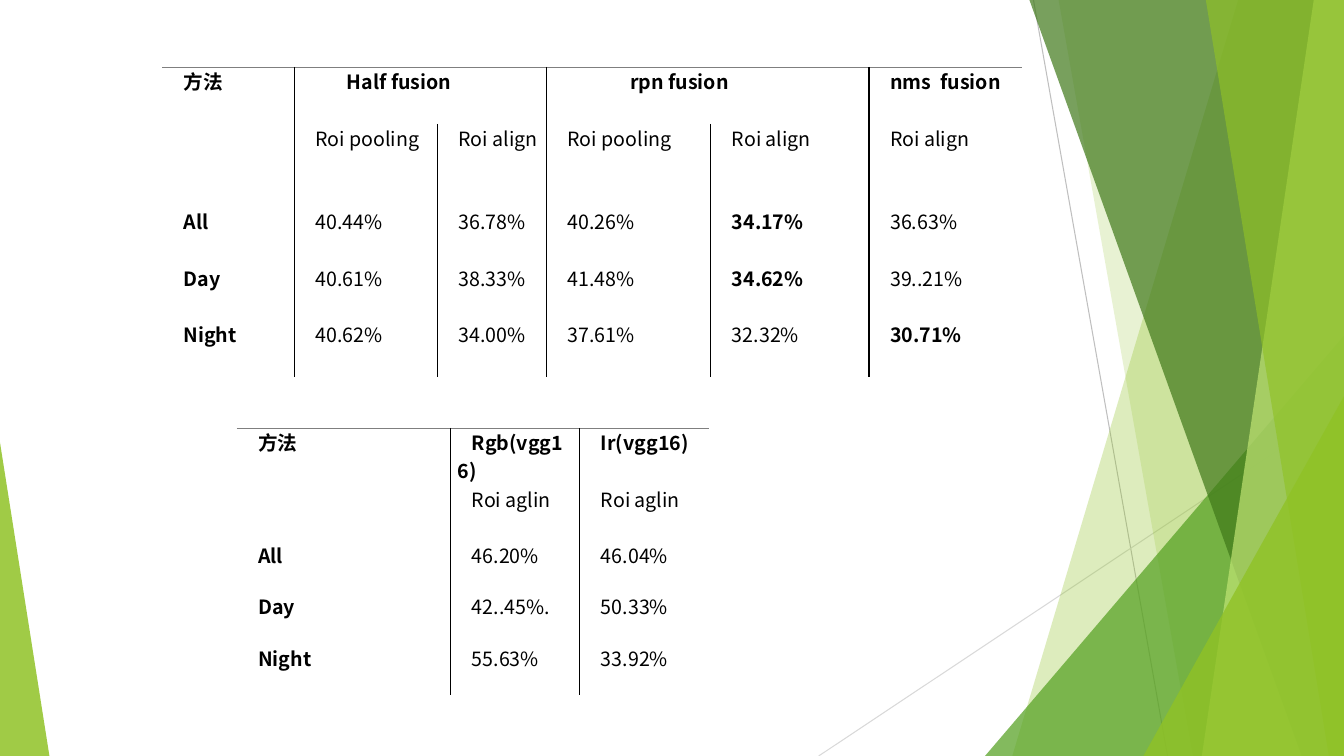
from lxml import etree
from pptx import Presentation
from pptx import util as u
from pptx.dml.color import RGBColor
from pptx.enum import shapes, text
from pptx.oxml.ns import qn

FONT = "Noto Sans CJK SC"
BEST = {"34.17%", "34.62%", "30.71%"}
FUSION = [
    ["方法", "Half fusion", "", "rpn fusion", "", "nms  fusion"],
    ["", "Roi pooling", "Roi align", "Roi pooling", "Roi align", "Roi align"],
    ["All", "40.44%", "36.78%", "40.26%", "34.17%", "36.63%"],
    ["Day", "40.61%", "38.33%", "41.48%", "34.62%", "39..21%"],
    ["Night", "40.62%", "34.00%", "37.61%", "32.32%", "30.71%"],
]
SINGLE = [
    ["方法", "Rgb(vgg16)", "Ir(vgg16)"],
    ["", "Roi aglin", "Roi aglin"],
    ["All", "46.20%", "46.04%"],
    ["Day", "42..45%.", "50.33%"],
    ["Night", "55.63%", "33.92%"],
]
# Top edge from x1 to x2, bottom edge from x3 to x4, colour, opacity
BANDS_BACK = [
    (12.28, 13.33, 13.33, 10.04, "90C226", 30),
    (10.5, 13.33, 13.33, 11.83, "90C226", 20),
]
BANDS_FRONT = [
    (10.21, 13.33, 13.33, 12.91, "3F7819", 70),
    (13.03, 13.33, 13.33, 11.92, "C0E474", 70),
    (11.96, 13.33, 13.33, 13.18, "90C226", 65),
]


def color(code):
    return RGBColor.from_string(code)


def paint(shape, code, alpha):
    """Fill a shape with a see-through colour and no outline."""
    shape.shadow.inherit = False
    shape.fill.solid()
    shape.fill.fore_color.rgb = color(code)
    shape.line.fill.background()
    tone = shape.fill._xPr.find(qn("a:solidFill"))[0]
    etree.SubElement(tone, qn("a:alpha"), val=str(alpha * 1000))


def add_line(slide, x1, y1, x2, y2, code):
    line = slide.shapes.add_connector(
        shapes.MSO_CONNECTOR.STRAIGHT, *map(u.Inches, (x1, y1, x2, y2)))
    line.line.color.rgb = color(code)
    line.line.width = u.Pt(0.75)
    etree.SubElement(line._element.spPr, qn("a:effectLst"))


def add_band(slide, x1, x2, x3, x4, code, alpha):
    pts = [(x1, 0), (x2, 0), (x3, 7.5), (x4, 7.5)]
    pts = [(u.Inches(x), u.Inches(y)) for x, y in pts]
    build = slide.shapes.build_freeform(*pts[0])
    build.add_line_segments(pts[1:], close=True)
    paint(build.convert_to_shape(), code, alpha)


def add_wedge(slide, left, top, width, height, apex, code, alpha):
    wedge = slide.shapes.add_shape(
        shapes.MSO_SHAPE.ISOSCELES_TRIANGLE,
        *map(u.Inches, (left, top, width, height)))
    wedge.adjustments[0] = apex
    paint(wedge, code, alpha)


def set_edges(cell, edges):
    """Draw the given sides of a cell and hide the others."""
    props = cell._tc.get_or_add_tcPr()
    for side in "LRTB":
        line = etree.SubElement(props, qn("a:ln" + side), w=str(u.Pt(1)))
        if side in edges:
            fill = etree.SubElement(line, qn("a:solidFill"))
            etree.SubElement(fill, qn("a:srgbClr"), val=edges[side])
        else:
            etree.SubElement(line, qn("a:noFill"))
    cell.fill.background()


def set_text(cell, words, bold, indent):
    cell.margin_left = cell.margin_right = u.Inches(0.07)
    cell.margin_top = cell.margin_bottom = 0
    para = cell.text_frame.paragraphs[0]
    para.text = words
    para.alignment = text.PP_ALIGN.JUSTIFY
    para.line_spacing = u.Pt(20)
    para._p.get_or_add_pPr().set("indent", str(u.Inches(indent)))
    para.font.size = u.Pt(14)
    for run in para.runs:
        run.font.size = u.Pt(14)
        run.font.name = FONT
        run.font.bold = bold
        run.font.color.rgb = color("000000")
        etree.SubElement(run.font._element, qn("a:ea"), typeface=FONT)


def add_grid(slide, left, top, cols, rows, data, spans=(), indents=None):
    frame = slide.shapes.add_table(
        len(rows), len(cols),
        *map(u.Inches, (left, top, sum(cols), sum(rows))))
    grid = frame.table
    grid.first_row = grid.horz_banding = False
    for c, width in enumerate(cols):
        grid.columns[c].width = u.Inches(width)
    for r, height in enumerate(rows):
        grid.rows[r].height = u.Inches(height)
    for c in spans:
        grid.cell(0, c).merge(grid.cell(0, c + 1))
    for r, row in enumerate(data):
        for c, words in enumerate(row):
            cell = grid.cell(r, c)
            edges = {}
            if c > 0 and not cell.is_spanned:
                edges["L"] = "000000"
            if c < len(cols) - 1:
                edges["R"] = "000000"
            if r == 0:
                edges["T"] = "7F7F7F"
            set_edges(cell, edges)
            bold = r == 0 or c == 0 or words in BEST
            set_text(cell, words, bold, (indents or {}).get(words, 0.14))


def main():
    prs = Presentation()
    prs.slide_width, prs.slide_height = u.Inches(13.33), u.Inches(7.5)
    slide = prs.slides.add_slide(prs.slide_layouts[6])

    # Green facets
    add_line(slide, 10.25, 0, 11.58, 7.5, "BFBFBF")
    add_line(slide, 13.33, 4.03, 8.12, 7.5, "D9D9D9")
    for band in BANDS_BACK:
        add_band(slide, *band)
    add_wedge(slide, 9.77, 3.33, 3.56, 4.17, 1, "54A021", 72)
    for band in BANDS_FRONT:
        add_band(slide, *band)
    add_wedge(slide, 11.34, 3.93, 1.99, 3.57, 1, "90C226", 80)
    add_wedge(slide, 0, 4.39, 0.49, 3.11, 0, "90C226", 85)

    # Result tables
    add_grid(slide, 1.61, 0.67, [1.31, 1.42, 1.08, 1.63, 1.57, 1.52],
             [0.56, 0.83, 0.56, 0.56, 0.56], FUSION, spans=(1, 3),
             indents={"Half fusion": 0.45, "rpn fusion": 0.76})
    add_grid(slide, 2.35, 4.25, [2.12, 1.28, 1.28],
             [0.56, 0.56, 0.51, 0.51, 0.51], SINGLE)

    prs.save("out.pptx")


if __name__ == "__main__":
    main()
